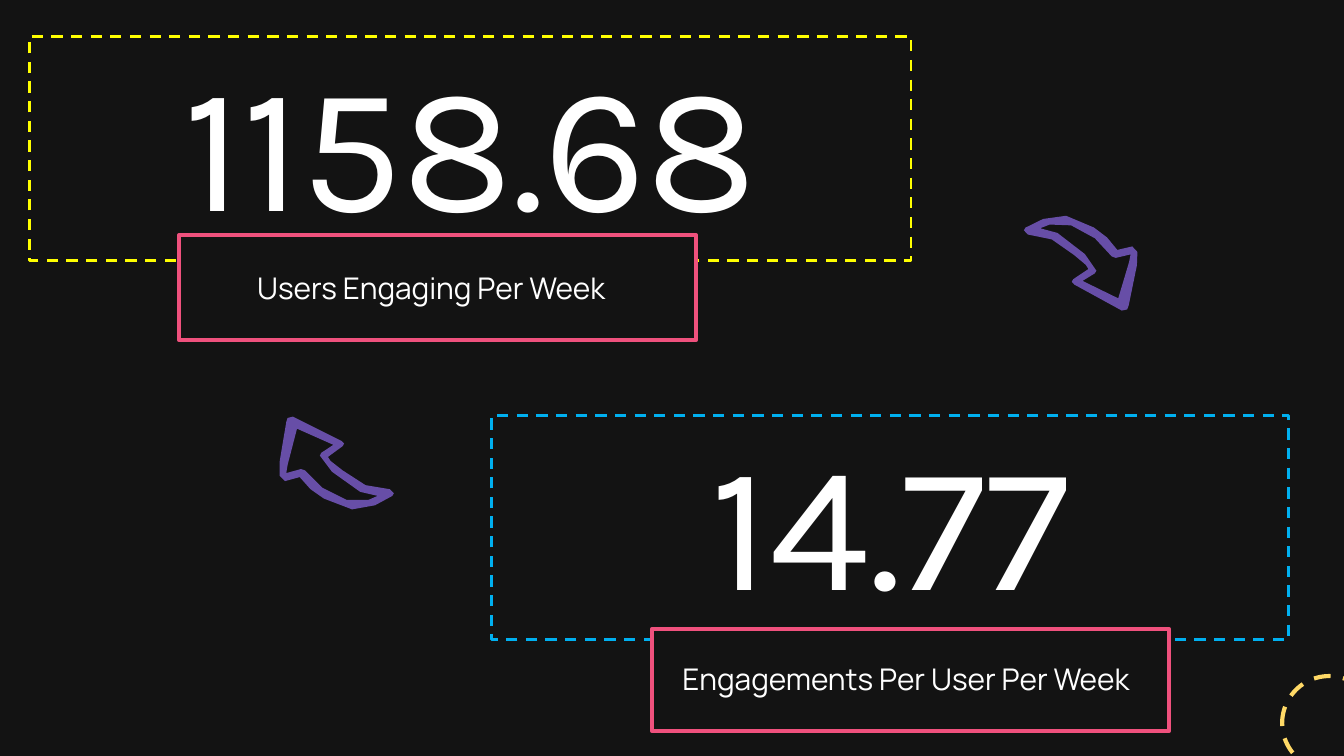
"""Build a slide with two engagement figures linked by hand-drawn arrows."""
from math import cos, radians, sin

from pptx import Presentation
from pptx.dml.color import RGBColor
from pptx.enum.dml import MSO_LINE
from pptx.enum.shapes import MSO_SHAPE
from pptx.enum.text import MSO_ANCHOR, PP_ALIGN
from pptx.util import Pt

RECTANGLE, ELLIPSE = MSO_SHAPE.RECTANGLE, MSO_SHAPE.OVAL
DASH = MSO_LINE.DASH
TOP, BOTTOM = MSO_ANCHOR.TOP, MSO_ANCHOR.BOTTOM
CENTER = PP_ALIGN.CENTER

BACKGROUND, WHITE, PINK, PURPLE = "131313", "FFFFFF", "EF517D", "674EA7"
INSET = 7.2

CIRCLE = ((686.9, 362.2, 50.4, 50.4), "FFD966")
FIGURES = [
    ("14.77", (263.5, 222.5, 427, 120.2), "00B0F0"),
    ("1158.68", (15.8, 19.4, 472.3, 120.2), "FFFF00"),
]
LABEL_FRAMES = [(95.8, 126, 277.2, 56.2), (349.2, 337, 277.2, 54.7)]
LABELS = [
    ("Engagements Per User Per Week", (263.5, 347, 427, 36), 16.7),
    ("Users Engaging Per Week", (5.8, 137.5, 427, 36), 23.4),
]

ARROWS = [((180, 248.4), 0), ((578.9, 140.4), -177.9)]
ARROW_UNIT = 0.72
ARROW_CONTOURS = [
    [(-36, 1), (-29, -26), (-2, -14), (-11, -8), (-12, -6), (-3, 6), (18, 21),
     (31, 24), (24, 27), (8, 27), (-10, 18), (-23, 5), (-26, 4), (-37, 7)],
    [(-42, -1), (-42, 9), (-38, 13), (-27, 10), (-19, 19), (-9, 26), (12, 34),
     (29, 31), (42, 24), (43, 22), (40, 19), (22, 16), (5, 5), (-4, -2),
     (-6, -5), (5, -13), (6, -15), (4, -17), (-32, -35), (-36, -34),
     (-37, -31), (-41, -7)],
]


def color(value):
    return RGBColor.from_string(value)


def add_outlined(slide, kind, box, line_color, width, fill=None, dash=None):
    shape = slide.shapes.add_shape(kind, *map(Pt, box))
    shape.shadow.inherit = False
    if fill:
        shape.fill.solid()
        shape.fill.fore_color.rgb = color(fill)
    else:
        shape.fill.background()
    shape.line.color.rgb = color(line_color)
    shape.line.width = Pt(width)
    if dash:
        shape.line.dash_style = dash
    return shape


def write(shape, text, font_name, size, anchor, indent=0):
    frame = shape.text_frame
    frame.word_wrap = True
    frame.vertical_anchor = anchor
    frame.margin_left = Pt(INSET + indent)
    frame.margin_right = frame.margin_top = frame.margin_bottom = Pt(INSET)
    paragraph = frame.paragraphs[0]
    paragraph.text = text
    paragraph.alignment = CENTER
    paragraph.font.name = font_name
    paragraph.font.size = Pt(size)
    paragraph.font.color.rgb = color(WHITE)


def add_arrow(slide, center, degrees):
    cosine, sine = cos(radians(degrees)), sin(radians(degrees))

    def place(point):
        x, y = point
        return (Pt(center[0] + ARROW_UNIT * (x * cosine - y * sine)),
                Pt(center[1] + ARROW_UNIT * (x * sine + y * cosine)))

    first, *others = [[place(point) for point in contour] for contour in ARROW_CONTOURS]
    builder = slide.shapes.build_freeform(*first[0])
    builder.add_line_segments(first[1:], close=True)
    for contour in others:
        builder.move_to(*contour[0])
        builder.add_line_segments(contour[1:], close=True)
    shape = builder.convert_to_shape()
    shape.shadow.inherit = False
    shape.fill.solid()
    shape.fill.fore_color.rgb = color(PURPLE)
    shape.line.fill.background()


def main():
    presentation = Presentation()
    presentation.slide_width, presentation.slide_height = Pt(720), Pt(405)
    slide = presentation.slides.add_slide(presentation.slide_layouts[6])
    slide.background.fill.solid()
    slide.background.fill.fore_color.rgb = color(BACKGROUND)

    add_outlined(slide, ELLIPSE, *CIRCLE, 2.25, dash=DASH)
    for text, box, line_color in FIGURES:
        shape = add_outlined(slide, RECTANGLE, box, line_color, 1.5, dash=DASH)
        write(shape, text, "Karla", 96, BOTTOM)
    for box in LABEL_FRAMES:
        add_outlined(slide, RECTANGLE, box, PINK, 2, fill=BACKGROUND)
    for text, box, indent in LABELS:
        shape = slide.shapes.add_textbox(*map(Pt, box))
        write(shape, text, "Manrope", 16, TOP, indent)
    for center, degrees in ARROWS:
        add_arrow(slide, center, degrees)

    presentation.save("out.pptx")


if __name__ == "__main__":
    main()
